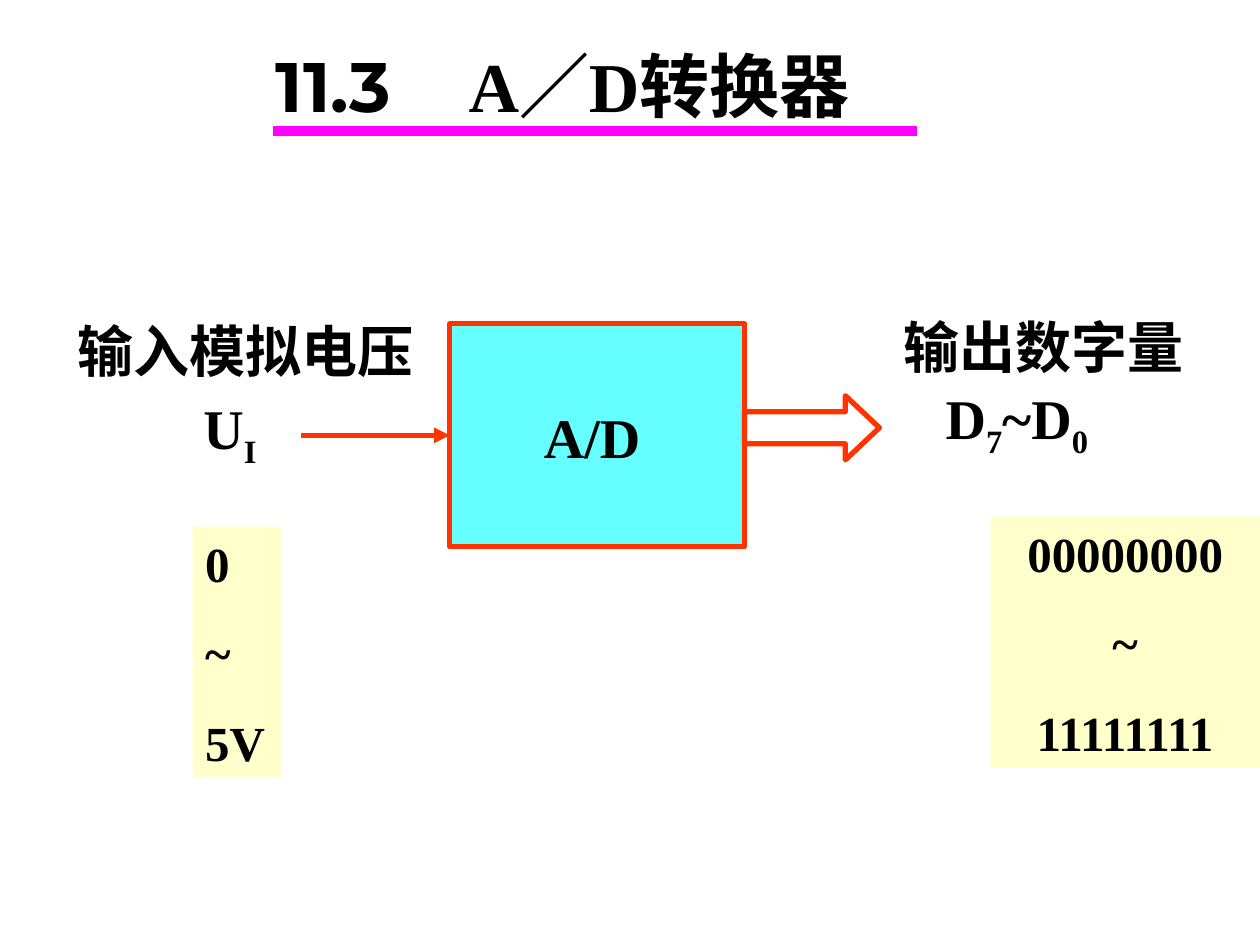
import pptx
import pptx.util
import pptx.dml.color
import pptx.enum.shapes
import pptx.enum.text
import pptx.oxml.ns
from lxml import etree

Inches, Pt = pptx.util.Inches, pptx.util.Pt
SHAPE = pptx.enum.shapes.MSO_SHAPE
ALIGN = pptx.enum.text.PP_ALIGN
COLORS = {"text": "000000", "rule": "FF00FF", "outline": "FF3300",
          "block": "66FFFF", "arrow": "FFFFFF", "range": "FFFFCC"}
SERIF, SANS = "Times New Roman", "Montserrat"
BLOCK = (3.57, 2.57, 2.34, 1.77)


def rgb(name):
    return pptx.dml.color.RGBColor.from_string(COLORS[name])


def sub_element(parent, tag, **attrs):
    return etree.SubElement(parent, pptx.oxml.ns.qn(tag), **attrs)


def write_text(sp, paragraphs, size=32, align=ALIGN.CENTER, before=0,
               line=None, tab=None):
    """Each paragraph is a list of (text, font, baseline percent) runs."""
    tf = sp.text_frame
    tf.word_wrap = True
    tf.vertical_anchor = pptx.enum.text.MSO_ANCHOR.MIDDLE
    for i, runs in enumerate(paragraphs):
        p = tf.add_paragraph() if i else tf.paragraphs[0]
        p.alignment = align
        if i:
            p.space_before = Pt(before)
        if line:
            p.line_spacing = line
        if tab:
            tabs = sub_element(p._p.get_or_add_pPr(), "a:tabLst")
            sub_element(tabs, "a:tab", pos=str(Inches(tab)), algn="l")
        for text, font, baseline in runs:
            r = p.add_run()
            r.text = text
            r.font.size, r.font.bold, r.font.name = Pt(size), True, font
            r.font.color.rgb = rgb("text")
            if baseline:
                r._r.get_or_add_rPr().set("baseline", str(baseline * 1000))


def add_label(s, box, runs, **fmt):
    sp = s.shapes.add_textbox(*map(Inches, box))
    write_text(sp, [runs], **fmt)


def add_box(s, kind, box, fill, outline=None):
    sp = s.shapes.add_shape(kind, *map(Inches, box))
    sp.shadow.inherit = False
    sp.fill.solid()
    sp.fill.fore_color.rgb = rgb(fill)
    if outline:
        sp.line.color.rgb = rgb(outline)
        sp.line.width = Pt(3)
    else:
        sp.line.fill.background()
    return sp


def add_line(s, x1, x2, y, color, width, arrow=False):
    c = s.shapes.add_connector(pptx.enum.shapes.MSO_CONNECTOR.STRAIGHT,
                               Inches(x1), Inches(y), Inches(x2), Inches(y))
    c.line.color.rgb = rgb(color)
    c.line.width = Pt(width)
    if arrow:
        sub_element(c.line._get_or_add_ln(), "a:tailEnd", type="triangle")
    sub_element(c._element.spPr, "a:effectLst")
    return c


def add_range(s, box, values, align):
    sp = add_box(s, SHAPE.RECTANGLE, box, "range")
    write_text(sp, [[(v, SERIF, 0)] for v in values],
               size=28, align=align, before=17.5)


def main():
    prs = pptx.Presentation()
    prs.slide_width, prs.slide_height = Inches(10), Inches(7.5)
    s = prs.slides.add_slide(prs.slide_layouts[6])

    # Title and its rule
    add_label(s, (2.09, 0.06, 5.28, 1.3),
              [("11.3\t", SANS, 0), ("A／D", SERIF, 0), ("转换器", SANS, 0)],
              size=40, align=ALIGN.LEFT, line=0.9, tab=1.53)
    add_line(s, 2.17, 7.28, 1.04, "rule", 6)

    # Converter block
    block = add_box(s, SHAPE.RECTANGLE, BLOCK, "block", "outline")
    add_label(s, (3.77, 3.14, 1.86, 0.64), [("A/D", SERIF, 0)])

    # Analog input
    left, top, width, height = BLOCK
    wire = add_line(s, 2.39, left, top + height / 2, "outline", 3, arrow=True)
    wire.end_connect(block, 1)
    add_label(s, (1.29, 3.07, 1.07, 0.71), [("U", SERIF, 0), ("I", SERIF, -25)])
    add_label(s, (0.44, 2.46, 3.02, 0.64), [("输入模拟电压", SERIF, 0)])

    # Digital output
    bus = add_box(s, SHAPE.RIGHT_ARROW, (left + width, 3.14, 1.07, 0.51),
                  "arrow", "outline")
    bus.adjustments[0], bus.adjustments[1] = 0.5, 0.53
    add_label(s, (7.31, 2.99, 1.52, 0.71),
              [("D", SERIF, 0), ("7", SERIF, -25),
               ("~D", SERIF, 0), ("0", SERIF, -25)])
    add_label(s, (6.96, 2.43, 2.65, 0.64), [("输出数字量", SERIF, 0)])

    # Value ranges
    add_range(s, (1.53, 4.18, 0.7, 1.99), ["0", "~", "5V"], ALIGN.LEFT)
    add_range(s, (7.86, 4.1, 2.14, 1.99), ["00000000", "~", "11111111"],
              ALIGN.CENTER)

    prs.save("out.pptx")


if __name__ == "__main__":
    main()
